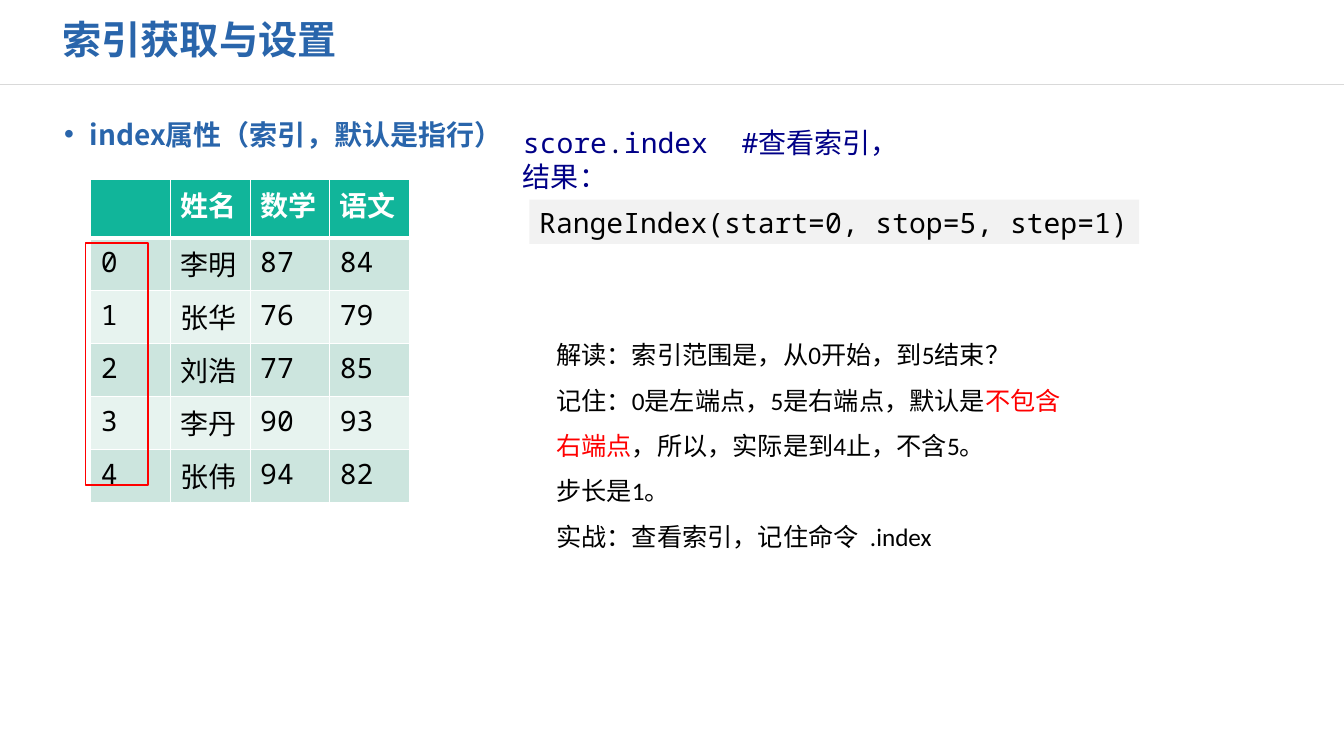
from dataclasses import dataclass

from lxml import etree
from pptx import Presentation
from pptx.dml.color import RGBColor
from pptx.enum import shapes, text
from pptx.oxml import ns
from pptx.util import Cm, Pt

BLUE = RGBColor(0x29, 0x65, 0xAB)
NAVY = RGBColor(0x00, 0x00, 0x87)
DARK_NAVY = RGBColor(0x00, 0x00, 0x5F)
BLACK = RGBColor(0, 0, 0)
WHITE = RGBColor(0xFF, 0xFF, 0xFF)
RED = RGBColor(0xFF, 0, 0)
GREY = RGBColor(0xD9, 0xD9, 0xD9)
PALE_GREY = RGBColor(0xF2, 0xF2, 0xF2)
TEAL = RGBColor(0x11, 0xB5, 0x9A)
BANDS = (RGBColor(0xCC, 0xE5, 0xDE), RGBColor(0xE7, 0xF3, 0xEF))

SANS, MONO, BODY = "Noto Sans CJK SC", "Noto Sans Mono", "Calibri"

SCORES = [
    ("", "姓名", "数学", "语文"),
    ("0", "李明", "87", "84"),
    ("1", "张华", "76", "79"),
    ("2", "刘浩", "77", "85"),
    ("3", "李丹", "90", "93"),
    ("4", "张伟", "94", "82"),
]


@dataclass
class Piece:
    words: str
    color: RGBColor = BLACK


@dataclass
class Block:
    """Paragraphs of coloured pieces that share one type style."""
    lines: list[list[Piece]]
    font: str
    size: int
    bold: bool = False
    spacing: float = 1.0


@dataclass
class Box:
    left: float
    top: float
    width: float
    height: float

    def lengths(self) -> tuple:
        return Cm(self.left), Cm(self.top), Cm(self.width), Cm(self.height)


def write(frame, block: Block) -> None:
    for number, pieces in enumerate(block.lines):
        paragraph = frame.add_paragraph() if number else frame.paragraphs[0]
        layout = {"alignment": text.PP_ALIGN.LEFT, "space_before": Pt(0),
                  "line_spacing": block.spacing}
        for key, value in layout.items():
            setattr(paragraph, key, value)
        for piece in pieces:
            run = paragraph.add_run()
            run.text = piece.words
            style = {"name": block.font, "size": Pt(block.size), "bold": block.bold}
            for key, value in style.items():
                setattr(run.font, key, value)
            run.font.color.rgb = piece.color
            east_asian = etree.SubElement(run.font._element, ns.qn("a:ea"))
            east_asian.set("typeface", SANS)


def add_text(slide, box: Box, block: Block):
    frame = slide.shapes.add_textbox(*box.lengths()).text_frame
    frame.word_wrap = True
    write(frame, block)
    return frame


def add_rectangle(slide, box: Box):
    rectangle = slide.shapes.add_shape(shapes.MSO_SHAPE.RECTANGLE, *box.lengths())
    rectangle.shadow.inherit = False
    return rectangle


def add_bullet(paragraph, color: RGBColor) -> None:
    properties = paragraph._p.get_or_add_pPr()
    properties.set("marL", str(Cm(0.64)))
    properties.set("indent", str(-Cm(0.64)))
    bullet_color = etree.SubElement(properties, ns.qn("a:buClr"))
    etree.SubElement(bullet_color, ns.qn("a:srgbClr")).set("val", str(color))
    etree.SubElement(properties, ns.qn("a:buFont")).set("typeface", "Arial")
    etree.SubElement(properties, ns.qn("a:buChar")).set("char", "•")


def set_borders(cell, widths: dict[str, int]) -> None:
    properties = cell._tc.get_or_add_tcPr()
    for position, (side, width) in enumerate(widths.items()):
        border = etree.Element(ns.qn(f"a:{side}"), w=str(Pt(width)))
        fill = etree.SubElement(border, ns.qn("a:solidFill"))
        etree.SubElement(fill, ns.qn("a:srgbClr")).set("val", str(WHITE))
        properties.insert(position, border)


def add_scores(slide, box: Box, header_height: float) -> None:
    row_count, column_count = len(SCORES), len(SCORES[0])
    table = slide.shapes.add_table(row_count, column_count, *box.lengths()).table
    for column in table.columns:
        column.width = Cm(box.width / column_count)
    for r, values in enumerate(SCORES):
        header = r == 0
        body_height = (box.height - header_height) / (row_count - 1)
        table.rows[r].height = Cm(header_height if header else body_height)
        for c, value in enumerate(values):
            cell = table.cell(r, c)
            cell.fill.solid()
            cell.fill.fore_color.rgb = TEAL if header else BANDS[(r - 1) % 2]
            top = 3 if r == 1 else 1
            set_borders(cell, {"lnL": 1, "lnR": 1, "lnT": top, "lnB": 3 if header else 1})
            if value:
                color = WHITE if header else BLACK
                write(cell.text_frame, Block([[Piece(value, color)]], MONO, 20, header))


def main() -> None:
    deck = Presentation()
    deck.slide_width, deck.slide_height = Cm(33.87), Cm(19.05)
    slide = deck.slides.add_slide(deck.slide_layouts[5])

    # Title and divider
    title = slide.shapes.title
    title_box = Box(1.32, 0.33, 13.51, 1.47)
    title.left, title.top, title.width, title.height = title_box.lengths()
    title.text_frame.vertical_anchor = text.MSO_ANCHOR.MIDDLE
    write(title.text_frame, Block([[Piece("索引获取与设置", BLUE)]], SANS, 28, True, 0.9))
    divider = slide.shapes.add_connector(
        shapes.MSO_CONNECTOR.STRAIGHT, 0, Cm(2.13), deck.slide_width, Cm(2.13))
    divider.line.color.rgb = GREY
    divider.line.width = Pt(1)
    etree.SubElement(divider._element.spPr, ns.qn("a:effectLst"))

    # Topic
    topic = add_text(slide, Box(1.37, 2.92, 27.99, 13.59), Block(
        [[Piece("index属性（索引，默认是指行）", BLUE)]], SANS, 20, True, 0.9))
    add_bullet(topic.paragraphs[0], BLUE)

    # Command and its result
    result = add_rectangle(slide, Box(13.34, 5.03, 15.37, 1.12))
    result.fill.solid()
    result.fill.fore_color.rgb = PALE_GREY
    result.line.fill.background()
    result.text_frame.word_wrap = False
    write(result.text_frame, Block(
        [[Piece("RangeIndex(start=0, stop=5, step=1)")]], MONO, 20))
    add_text(slide, Box(12.93, 3.05, 10.19, 1.12), Block([
        [Piece("score", NAVY), Piece(".", DARK_NAVY), Piece("index  #查看索引，", NAVY)],
        [Piece("结果：", NAVY)],
    ], MONO, 20))

    # Score table with its index column marked
    add_scores(slide, Box(2.29, 4.52, 8.03, 8.15), header_height=1.47)
    index_mark = add_rectangle(slide, Box(2.16, 6.12, 1.57, 6.1))
    index_mark.fill.background()
    index_mark.line.color.rgb = RED
    index_mark.line.width = Pt(1)

    # Explanation
    add_text(slide, Box(13.77, 8.05, 13.36, 5.92), Block([
        [Piece("解读：索引范围是，从0开始，到5结束？")],
        [Piece("记住：0是左端点，5是右端点，默认是"), Piece("不包含右端点", RED),
         Piece("，所以，实际是到4止，不含5。")],
        [Piece("步长是1。")],
        [Piece("实战：查看索引，记住命令  .index")],
    ], BODY, 18, spacing=1.5))

    deck.save("out.pptx")


if __name__ == "__main__":
    main()
